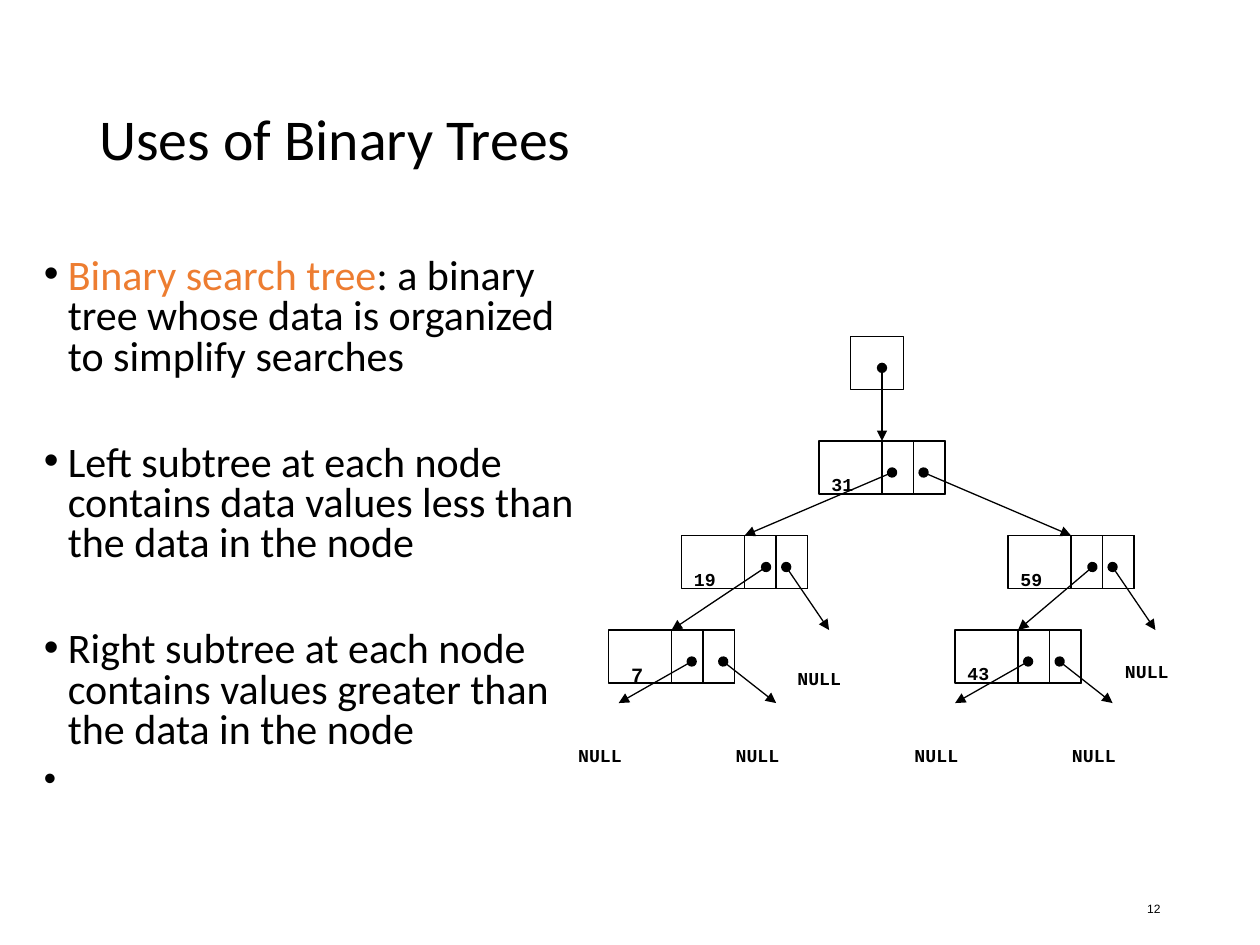
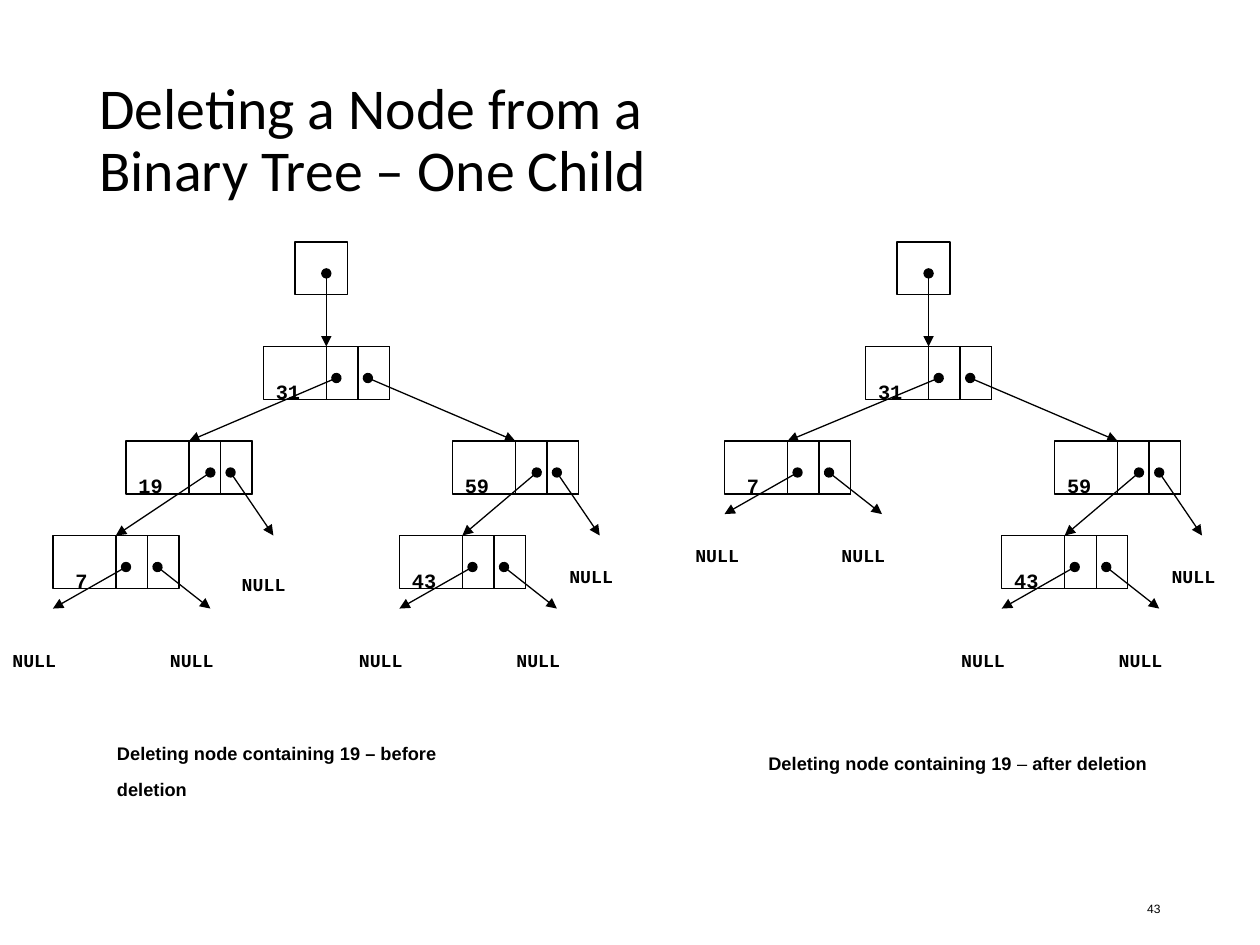
from collections import namedtuple

from lxml.etree import SubElement
from pptx import Presentation
from pptx.dml.color import RGBColor
from pptx.enum.shapes import MSO_CONNECTOR as CONN, MSO_SHAPE as SHAPE
from pptx.enum.text import MSO_ANCHOR as ANCHOR, MSO_AUTO_SIZE as AUTO, PP_ALIGN as ALIGN
from pptx.oxml.ns import qn
from pptx.util import Inches, Pt

BLACK, ORANGE = "000000", "ED7D31"
TITLE = {"name": "Calibri", "size": Pt(33)}
BODY = {"name": "Calibri", "size": Pt(24)}
CODE = {"name": "Courier New", "size": Pt(18), "bold": True}
BIG_CODE = {**CODE, "size": Pt(20)}
CAPTION = {"name": "Arial", "size": Pt(18), "bold": True}
NUMBER = {"name": "Arial", "size": Pt(12)}
SUBSCRIPT = "-33000"
CELL, NODE_W, NODE_H = 0.25, 1, 0.42

Null = namedtuple("Null", "tip label")
Node = namedtuple("Node", "x y left right dots shift", defaults=((0.58, 0.83), 0))

LEAF = (Null((0, 0.58), (-0.42, 0.67)), Null((1.25, 0.58), (0.83, 0.67)))
HIGH_LEAF = (Null((0, 0.58), (-0.33, 0.58)), Null((1.25, 0.58), (0.83, 0.58)))
INNER_DOTS = (0.67, 0.83)
TOP = {
    "31": Node(1.67, 0.83, "19", "59"),
    "59": Node(3.17, 1.58, "43", Null((1.17, 0.75), (0.83, 0.75)), INNER_DOTS),
    "43": Node(2.75, 2.33, *LEAF),
}
FULL_TREE = {
    **TOP,
    "19": Node(0.58, 1.58, "7", Null((1.17, 0.75), (0.82, 0.81)), INNER_DOTS),
    "7": Node(0, 2.33, *LEAF),
}
SHIFTED_TREE = {**FULL_TREE, "7": FULL_TREE["7"]._replace(shift=0.08)}
PRUNED_TREE = {
    **TOP,
    "31": TOP["31"]._replace(left="7"),
    "7": Node(0.55, 1.58, *HIGH_LEAF),
}


def color(value):
    """Turn a hex string into a colour."""
    return RGBColor.from_string(value)


def assign(obj, values):
    """Set attributes from a dict of values."""
    for name, value in values.items():
        setattr(obj, name, value)


def add_run(p, text, fmt, fill=BLACK, sub=False):
    """Add one formatted run to a paragraph."""
    r = p.add_run()
    r.text = text
    assign(r.font, fmt)
    r.font.color.rgb = color(fill)
    if sub:
        r.font._element.set("baseline", SUBSCRIPT)


def text_box(s, box, frame=None):
    """Add a text box and return its text frame."""
    tf = s.shapes.add_textbox(*map(Inches, box)).text_frame
    assign(tf, {"word_wrap": True, **(frame or {})})
    return tf


def add_title(s, text):
    """Place the slide title, one run per line."""
    p = text_box(s, (0.69, 0.4, 8.62, 1.45),
                 {"vertical_anchor": ANCHOR.MIDDLE}).paragraphs[0]
    p.line_spacing = 0.9
    for i, line in enumerate(text.split("\n")):
        if i:
            p.add_line_break()
        add_run(p, line, TITLE)


def add_number(s, text):
    """Place the slide number at the lower right."""
    p = text_box(s, (7.06, 6.95, 2.25, 0.4),
                 {"vertical_anchor": ANCHOR.MIDDLE}).paragraphs[0]
    p.alignment = ALIGN.RIGHT
    add_run(p, text, NUMBER, sub=True)


def add_bullets(s, box, items):
    """Place bulleted paragraphs, each given as gap before and runs."""
    tf = text_box(s, box)
    for i, (gap, runs) in enumerate(items):
        p = tf.add_paragraph() if i else tf.paragraphs[0]
        assign(p, {"line_spacing": 0.8, "space_before": Pt(gap)})
        for run in runs:
            add_run(p, *run)
        pPr = p._p.get_or_add_pPr()
        pPr.set("marL", str(Inches(0.19)))
        pPr.set("indent", str(-Inches(0.19)))
        clr = SubElement(pPr, qn("a:buClr"))
        SubElement(clr, qn("a:srgbClr"), val=BLACK)
        SubElement(pPr, qn("a:buFont"), typeface="Arial")
        SubElement(pPr, qn("a:buChar"), char="•")


def add_caption(s, box, runs):
    """Place a caption made of text and bold pairs."""
    p = text_box(s, box, {"auto_size": AUTO.SHAPE_TO_FIT_TEXT}).paragraphs[0]
    p.line_spacing = 0.8
    for text, bold in runs:
        add_run(p, text, {**CAPTION, "bold": bold}, sub=True)


def add_code(s, x, y, text, fmt=CODE):
    """Place a tight code label."""
    pts = fmt["size"].pt
    box = (x, y, 0.2 + len(text) * pts / 120, 0.4 if pts == 18 else 0.43)
    tf = text_box(s, box, {"word_wrap": False, "auto_size": AUTO.SHAPE_TO_FIT_TEXT})
    add_run(tf.paragraphs[0], text, fmt, sub=True)


def add_cell(s, x, y, w):
    """Add an outlined box of node height."""
    sp = s.shapes.add_shape(SHAPE.RECTANGLE, *map(Inches, (x, y, w, NODE_H)))
    sp.shadow.inherit = False
    sp.fill.background()
    sp.line.color.rgb = color(BLACK)
    sp.line.width = Pt(0.75)
    return sp


def add_pointer(s, start, end, target=None):
    """Draw a dotted arrow, joined to the top of a target box if given."""
    cx = s.shapes.add_connector(CONN.STRAIGHT, *map(Inches, (*start, *end)))
    if target is not None:
        cx.end_connect(target, 0)
    cx.line.color.rgb = color(BLACK)
    cx.line.width = Pt(0.75)
    ln = cx.line._get_or_add_ln()
    SubElement(ln, qn("a:headEnd"), type="oval")
    SubElement(ln, qn("a:tailEnd"), type="triangle")
    SubElement(cx._element.spPr, qn("a:effectLst"))


def add_node(s, x, y, value, fmt):
    """Draw a node of a value and two pointer cells, and return its frame."""
    frame = add_cell(s, x, y, NODE_W)
    for i in (1, 2):
        add_cell(s, x + NODE_W - i * CELL, y, CELL)
    if len(value) == 1:
        add_code(s, x + 0.08, y, value, BIG_CODE)
    else:
        add_code(s, x, y + (0.02 if fmt is CODE else 0), value, fmt)
    return frame


def add_tree(s, left, top, tree, fmt=BIG_CODE):
    """Draw the root pointer, nodes, arrows and NULL labels of a tree."""
    add_cell(s, left + 1.92, top, NODE_H)
    frames = {value: add_node(s, left + n.x, top + n.y, value, fmt)
              for value, n in tree.items()}

    def point(start, value):
        """Point from a place to the top of a node."""
        n = tree[value]
        add_pointer(s, start, (left + n.x + NODE_W / 2, top + n.y), frames[value])

    point((left + 2.17, top + 0.25), "31")
    for n in tree.values():
        x, y = left + n.x + n.shift, top + n.y
        for dot, child in zip(n.dots, (n.left, n.right)):
            start = (x + dot, y + 0.25)
            if isinstance(child, Null):
                add_pointer(s, start, (x + child.tip[0], y + child.tip[1]))
                add_code(s, x + child.label[0], y + child.label[1], "NULL")
            else:
                point(start, child)


def new_slide(prs, title, number):
    """Add a blank slide with its title and number."""
    s = prs.slides.add_slide(prs.slide_layouts[6])
    add_title(s, title)
    add_number(s, number)
    return s


def uses_slide(prs):
    """Build the slide on uses of binary trees."""
    s = new_slide(prs, "Uses of Binary Trees", "12")
    add_bullets(s, (0.25, 2, 4.42, 4.58), [
        (7.5, [("Binary search tree", BODY, ORANGE),
               (": a binary tree whose data is organized to simplify searches", BODY)]),
        (37.5, [("Left subtree at each node contains data values less than "
                 "the data in the node", BODY)]),
        (37.5, [("Right subtree at each node contains values greater than "
                 "the data in the node", BODY)]),
        (7.5, [(" ", {**BODY, "size": Pt(20)})]),
    ])
    add_tree(s, 4.83, 2.67, SHIFTED_TREE, CODE)


def deletion_slide(prs):
    """Build the slide on deleting a node with one child."""
    s = new_slide(prs, "Deleting a Node from a \nBinary Tree – One Child", "43")
    add_tree(s, 0.42, 1.92, FULL_TREE)
    add_tree(s, 5.2, 1.92, PRUNED_TREE)
    add_caption(s, (0.83, 5.67, 3.25, 0.58),
                [("Deleting node containing 19 – before deletion", True)])
    add_caption(s, (6, 5.75, 3.33, 0.58),
                [("Deleting node containing 19", True), (" – ", False),
                 ("after deletion", True)])


def main():
    """Build and save the presentation."""
    prs = Presentation()
    prs.slide_width, prs.slide_height = Inches(10), Inches(7.5)
    uses_slide(prs)
    deletion_slide(prs)
    prs.save("out.pptx")


if __name__ == "__main__":
    main()
